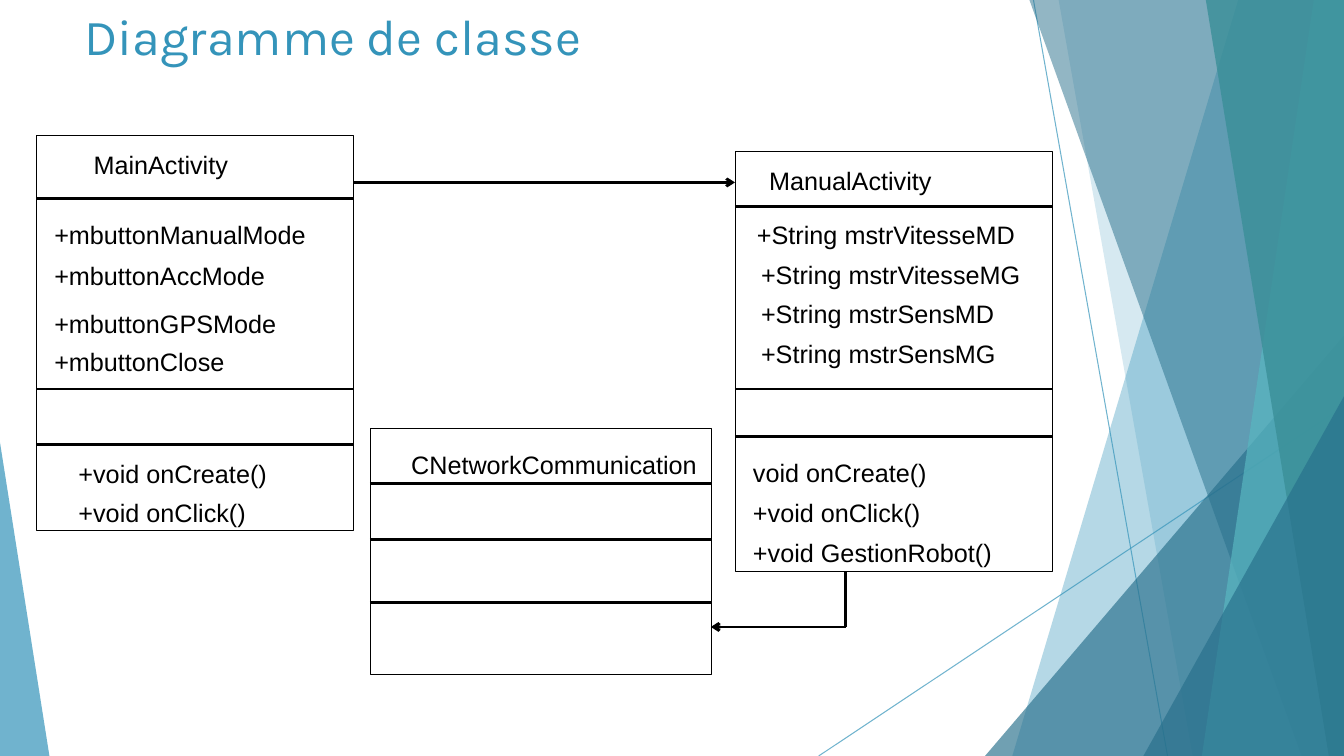
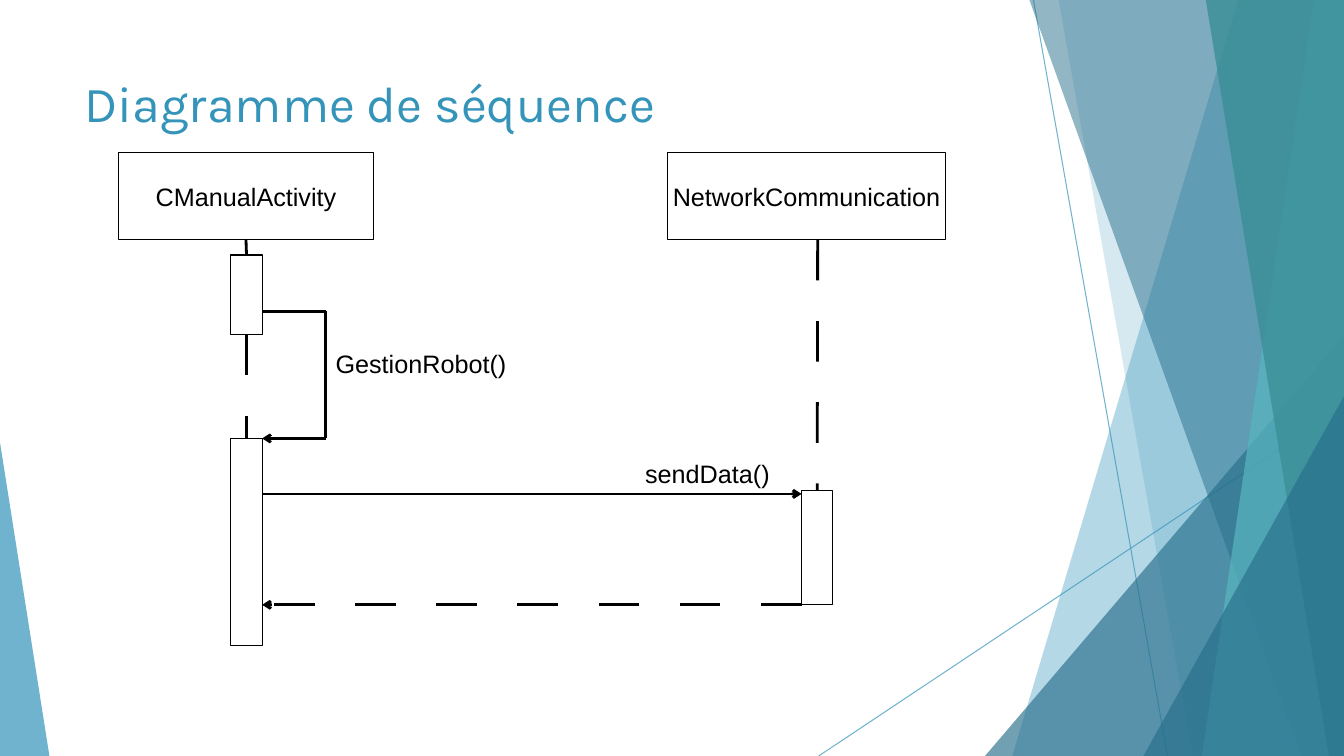
from dataclasses import dataclass
from typing import NamedTuple, Optional

from lxml import etree
from pptx import Presentation
from pptx.dml.color import RGBColor
from pptx.enum.shapes import MSO_CONNECTOR, MSO_SHAPE
from pptx.enum.text import MSO_ANCHOR, MSO_AUTO_SIZE, PP_ALIGN
from pptx.oxml.ns import qn
from pptx.shapes.autoshape import Shape
from pptx.shapes.connector import Connector
from pptx.slide import Slide
from pptx.util import Inches, Pt

STRAIGHT = MSO_CONNECTOR.STRAIGHT
RECTANGLE, TRIANGLE = MSO_SHAPE.RECTANGLE, MSO_SHAPE.ISOSCELES_TRIANGLE
TOP_SIDE, BOTTOM_SIDE = 0, 2
SLIDE_WIDTH, SLIDE_HEIGHT = 13.33, 7.5
LABEL_WIDTH, LABEL_HEIGHT = 3.07, 0.38
DASH_PERCENT = 1440


@dataclass(frozen=True)
class Theme:
    blue: str = "3494BA"
    deep_blue: str = "276F8B"
    turquoise: str = "58B6C0"
    deep_turquoise: str = "3A8F98"
    ink: str = "000000"
    paper: str = "FFFFFF"
    title_font: str = "Karla"
    body_font: str = "Arial"
    title_size: int = 36
    body_size: int = 18
    facet_line: float = 0.75
    diagram_line: float = 0


THEME = Theme()


class Band(NamedTuple):
    """Full-height facet running to the right edge of the slide."""
    top_x: float
    bottom_x: float
    color: str
    opacity: int


class Corner(NamedTuple):
    """Right-angled triangle standing on the bottom edge."""
    left: float
    top: float
    width: float
    apex: float
    color: str
    opacity: int


class Box(NamedTuple):
    left: float
    top: float
    width: float
    height: float


class Label(NamedTuple):
    left: float
    top: float
    text: str


class Stroke(NamedTuple):
    x1: float
    y1: float
    x2: float
    y2: float
    arrow: bool = False
    dashed: bool = False


class UmlClass(NamedTuple):
    frame: Box
    dividers: tuple[float, ...]
    labels: tuple[Label, ...]


FACET_LINES = (Stroke(10.25, 0, 11.58, 7.5), Stroke(13.33, 4.03, 8.12, 7.5))
FACETS = (
    Band(12.28, 10.04, THEME.blue, 36),
    Band(10.5, 11.83, THEME.blue, 20),
    Corner(9.77, 3.33, 3.56, 1, THEME.deep_blue, 66),
    Band(10.21, 12.91, THEME.deep_blue, 50),
    Band(13.03, 11.92, THEME.turquoise, 70),
    Band(11.96, 13.18, THEME.deep_turquoise, 80),
    Corner(11.34, 3.93, 1.99, 1, THEME.deep_blue, 66),
    Corner(0, 4.39, 0.49, 0, THEME.blue, 70),
)

UML_CLASSES = (
    UmlClass(
        Box(0.36, 1.34, 3.15, 3.92), (1.97, 3.86, 4.41),
        (Label(0.83, 1.43, "MainActivity"),
         Label(0.44, 2.13, "+mbuttonManualMode"),
         Label(0.44, 2.53, "+mbuttonAccMode"),
         Label(0.44, 3.01, "+mbuttonGPSMode"),
         Label(0.44, 3.39, "+mbuttonClose"),
         Label(0.68, 4.5, "+void onCreate()"),
         Label(0.68, 4.88, "+void onClick()"))),
    UmlClass(
        Box(7.29, 1.5, 3.15, 4.17), (2.05, 3.86, 4.33),
        (Label(7.53, 1.59, "ManualActivity"),
         Label(7.41, 2.13, "+String mstrVitesseMD"),
         Label(7.45, 2.52, "+String mstrVitesseMG"),
         Label(7.45, 2.91, "+String mstrSensMD"),
         Label(7.45, 3.31, "+String mstrSensMG"),
         Label(7.37, 4.49, "void onCreate()"),
         Label(7.37, 4.88, "+void onClick()"),
         Label(7.37, 5.28, "+void GestionRobot()"))),
    UmlClass(
        Box(3.67, 4.25, 3.39, 2.44), (4.8, 5.35, 5.98),
        (Label(3.98, 4.41, "CNetworkCommunication"),)),
)
ASSOCIATIONS = (
    Stroke(3.51, 1.81, 7.29, 1.81, arrow=True),
    Stroke(8.39, 5.67, 8.39, 6.22),
    Stroke(8.39, 6.22, 7.05, 6.22, arrow=True),
)

MESSAGES = (
    Stroke(2.6, 3.09, 3.23, 3.09),
    Stroke(3.23, 3.09, 3.23, 4.35),
    Stroke(3.23, 4.35, 2.6, 4.35, arrow=True),
    Stroke(2.6, 4.9, 7.95, 4.9, arrow=True),
    Stroke(7.95, 6, 2.6, 6, arrow=True, dashed=True),
)
MESSAGE_LABELS = (Label(3.23, 3.41, "GestionRobot()"),
                  Label(6.3, 4.5, "sendData()"))


# Formatting helpers
def set_opacity(fill_owner, percent: int) -> None:
    for color in fill_owner.iter(qn("a:srgbClr")):
        etree.SubElement(color, qn("a:alpha"), val=str(percent * 1000))


def write(shape: Shape, text: str, font: str, size: int, color: str) -> None:
    shape.text_frame.text = text
    run_font = shape.text_frame.paragraphs[0].runs[0].font
    run_font.name = font
    run_font.size = Pt(size)
    run_font.color.rgb = RGBColor.from_string(color)


def add_line(slide: Slide, stroke: Stroke, color: str = THEME.ink,
             width: float = THEME.diagram_line) -> Connector:
    line = slide.shapes.add_connector(
        STRAIGHT, Inches(stroke.x1), Inches(stroke.y1),
        Inches(stroke.x2), Inches(stroke.y2))
    line.line.color.rgb = RGBColor.from_string(color)
    line.line.width = Pt(width)
    outline = line.line._get_or_add_ln()
    if stroke.dashed:
        dashes = etree.SubElement(outline, qn("a:custDash"))
        length = str(DASH_PERCENT * 1000)
        etree.SubElement(dashes, qn("a:ds"), d=length, sp=length)
    if stroke.arrow:
        etree.SubElement(outline, qn("a:tailEnd"), type="arrow")
    etree.SubElement(line._element.spPr, qn("a:effectLst"))
    return line


def add_box(slide: Slide, box: Box, fill: Optional[str] = None,
            text: str = "") -> Shape:
    shape = slide.shapes.add_shape(RECTANGLE, *map(Inches, box))
    shape.shadow.inherit = False
    if fill:
        shape.fill.solid()
        shape.fill.fore_color.rgb = RGBColor.from_string(fill)
    else:
        shape.fill.background()
    shape.line.color.rgb = RGBColor.from_string(THEME.ink)
    shape.line.width = Pt(THEME.diagram_line)
    if text:
        write(shape, text, THEME.body_font, THEME.body_size, THEME.ink)
        shape.text_frame.word_wrap = False
        shape.text_frame.vertical_anchor = MSO_ANCHOR.MIDDLE
        shape.text_frame.paragraphs[0].alignment = PP_ALIGN.CENTER
    return shape


def add_label(slide: Slide, label: Label) -> None:
    box = slide.shapes.add_textbox(
        Inches(label.left), Inches(label.top),
        Inches(LABEL_WIDTH), Inches(LABEL_HEIGHT))
    write(box, label.text, THEME.body_font, THEME.body_size, THEME.ink)
    box.text_frame.word_wrap = False
    box.text_frame.auto_size = MSO_AUTO_SIZE.SHAPE_TO_FIT_TEXT


# Shared slide frame
def add_facet(slide: Slide, facet: Band | Corner) -> None:
    if isinstance(facet, Band):
        outline = slide.shapes.build_freeform(Inches(facet.top_x), 0)
        outline.add_line_segments([
            (Inches(SLIDE_WIDTH), 0),
            (Inches(SLIDE_WIDTH), Inches(SLIDE_HEIGHT)),
            (Inches(facet.bottom_x), Inches(SLIDE_HEIGHT))])
        shape = outline.convert_to_shape()
    else:
        shape = slide.shapes.add_shape(
            TRIANGLE, Inches(facet.left), Inches(facet.top),
            Inches(facet.width), Inches(SLIDE_HEIGHT - facet.top))
        shape.adjustments[0] = facet.apex
    shape.shadow.inherit = False
    shape.fill.solid()
    shape.fill.fore_color.rgb = RGBColor.from_string(facet.color)
    set_opacity(shape._element.spPr, facet.opacity)
    shape.line.fill.background()


def add_framed_slide(prs: Presentation, title: str, title_top: float) -> Slide:
    slide = prs.slides.add_slide(prs.slide_layouts[6])
    for stroke in FACET_LINES:
        line = add_line(slide, stroke, THEME.blue, THEME.facet_line)
        set_opacity(line._element.spPr, 70)
    for facet in FACETS:
        add_facet(slide, facet)
    heading = slide.shapes.add_textbox(
        Inches(0.74), Inches(title_top), Inches(9.4), Inches(1.44))
    write(heading, title, THEME.title_font, THEME.title_size, THEME.blue)
    heading.text_frame.word_wrap = True
    return slide


# Class diagram
def build_class_diagram(prs: Presentation) -> None:
    slide = add_framed_slide(prs, "Diagramme de classe", 0)
    for uml_class in UML_CLASSES:
        frame = uml_class.frame
        add_box(slide, frame)
        for y in uml_class.dividers:
            add_line(slide, Stroke(frame.left, y, frame.left + frame.width, y))
        for label in uml_class.labels:
            add_label(slide, label)
    for association in ASSOCIATIONS:
        add_line(slide, association)


# Sequence diagram
def build_sequence_diagram(prs: Presentation) -> None:
    slide = add_framed_slide(prs, "Diagramme de séquence", 0.67)
    manual = add_box(slide, Box(1.18, 1.51, 2.52, 0.87), THEME.paper,
                     "CManualActivity")
    network = Box(6.62, 1.51, 2.76, 0.87)
    add_box(slide, network, THEME.paper, "NetworkCommunication")
    start_bar, manual_bar, network_bar = (
        add_box(slide, box, THEME.paper) for box in (
            Box(2.29, 2.53, 0.31, 0.79),
            Box(2.29, 4.35, 0.31, 2.05),
            Box(7.95, 4.87, 0.31, 1.13)))

    # Lifelines
    creation = add_line(slide, Stroke(2.44, 2.38, 2.44, 2.53))
    creation.begin_connect(manual, BOTTOM_SIDE)
    creation.end_connect(start_bar, TOP_SIDE)
    manual_life = add_line(slide, Stroke(2.44, 3.32, 2.44, 4.35, dashed=True))
    manual_life.begin_connect(start_bar, BOTTOM_SIDE)
    manual_life.end_connect(manual_bar, TOP_SIDE)
    network_life = add_line(
        slide, Stroke(8.11, network.top + network.height, 8.11, 4.87, dashed=True))
    network_life.end_connect(network_bar, TOP_SIDE)

    # Messages
    for message in MESSAGES:
        add_line(slide, message)
    for label in MESSAGE_LABELS:
        add_label(slide, label)


def main() -> None:
    prs = Presentation()
    prs.slide_width, prs.slide_height = Inches(SLIDE_WIDTH), Inches(SLIDE_HEIGHT)
    build_class_diagram(prs)
    build_sequence_diagram(prs)
    prs.save("out.pptx")


if __name__ == "__main__":
    main()
